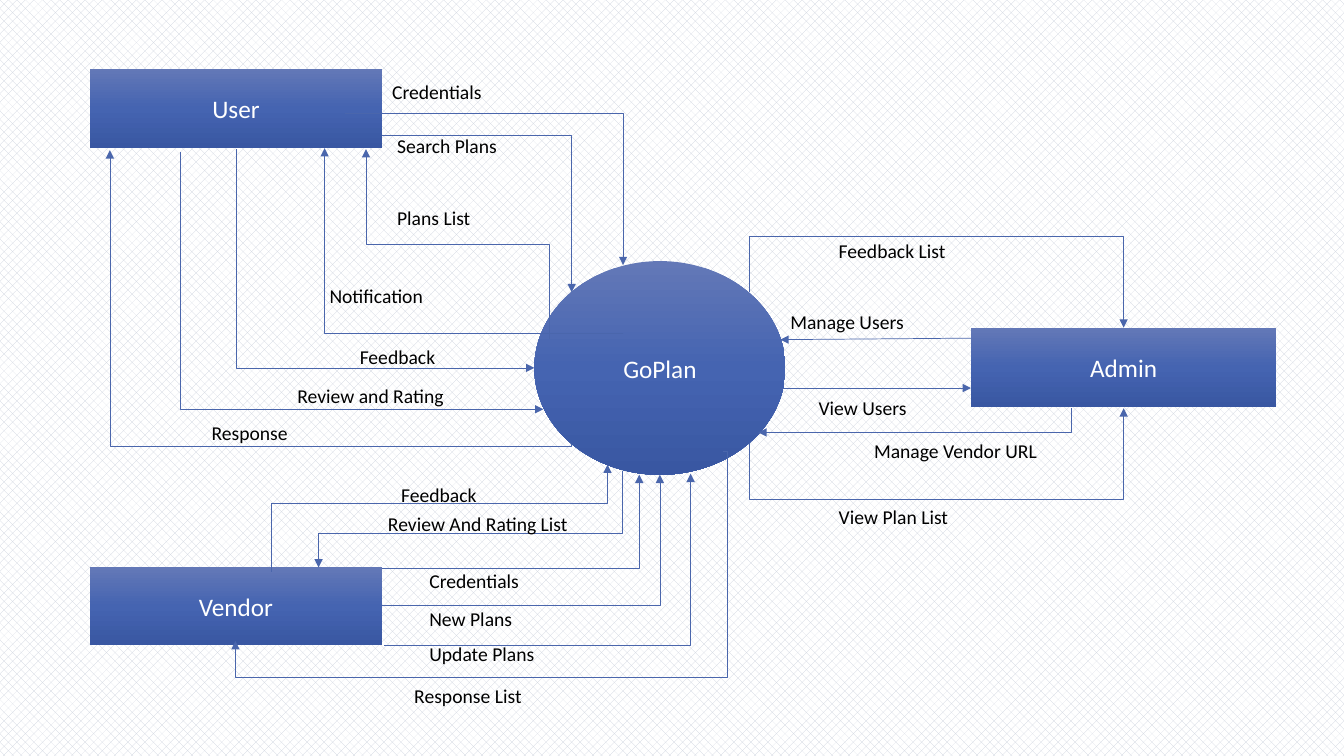
from copy import deepcopy
from dataclasses import dataclass

from pptx import Presentation
from pptx.dml.color import RGBColor
from pptx.enum.dml import MSO_PATTERN
from pptx.enum.shapes import MSO_CONNECTOR, MSO_SHAPE
from pptx.enum.text import MSO_ANCHOR, MSO_AUTO_SIZE, PP_ALIGN
from pptx.oxml.ns import qn
from pptx.slide import Slide
from pptx.text.text import TextFrame
from pptx.util import Inches, Length, Pt
from lxml import etree

RECT = MSO_SHAPE.RECTANGLE
OVAL = MSO_SHAPE.OVAL
ELBOW = MSO_CONNECTOR.ELBOW
STRAIGHT = MSO_CONNECTOR.STRAIGHT
WEAVE = MSO_PATTERN.WEAVE
CENTER = PP_ALIGN.CENTER
MIDDLE = MSO_ANCHOR.MIDDLE
FIT_SHAPE = MSO_AUTO_SIZE.SHAPE_TO_FIT_TEXT

FONT = "Calibri"
FLOW_COLOR = "4A66AC"
NODE_GRADIENT = [(0, "6378B7"), (0.5, "4564B1"), (1, "3957A2")]
CELL = 0.1
LABEL_ROWS = 3.4
DIRECTIONS = {0: (1, 0), 90: (0, 1), 180: (-1, 0), 270: (0, -1)}


@dataclass(frozen=True)
class Node:
    name: str
    col: float
    row: float
    cols: float
    rows: float
    outline: MSO_SHAPE = RECT

    @property
    def right(self) -> float:
        return self.col + self.cols

    @property
    def bottom(self) -> float:
        return self.row + self.rows

    @property
    def middle(self) -> float:
        return self.col + self.cols / 2


@dataclass(frozen=True)
class Flow:
    start: tuple[float, float]
    end: tuple[float, float]
    turn: int = 0
    bends: tuple[float, ...] | None = ()
    arrow: bool = True


@dataclass(frozen=True)
class Label:
    wording: str
    col: float
    row: float
    cols: float
    wrap: bool = True


SYSTEM = Node("GoPlan", 53, 25.9, 24.9, 21.2, OVAL)
USER = Node("User", 8.9, 6.8, 29, 7.9)
ADMIN = Node("Admin", 96.3, 32.5, 30.3, 7.9)
VENDOR = Node("Vendor", 8.9, 56.3, 29, 7.7)
NODES = [SYSTEM, USER, ADMIN, VENDOR]

REVIEW_JOINT = (47.8, 52.9)
FEEDBACK_JOINT = (53, 49.9)

USER_FLOWS = [
    Flow((34.2, 11.2), (61.8, 26.3)),
    Flow((USER.right, 13.4), (56.7, 29)),
    Flow((54.5, 33.6), (36.3, 14.8), 270, (0.5,)),
    Flow((61.8, 33.1), (32.2, USER.bottom), 180),
    Flow((23.4, 14.8), (SYSTEM.col, 36.5), 270),
    Flow((17.9, 15.1), (53.9, 40.6), 0, (0,)),
    Flow((56.7, 44), (10.9, 14.9), 90, (-0.01, 1)),
]
VENDOR_FLOWS = [
    Flow((26.9, 56.7), FEEDBACK_JOINT, 0, (0,), False),
    Flow(FEEDBACK_JOINT, (60.25, 46.1), 0, (1,)),
    Flow((61.75, 46.7), REVIEW_JOINT, 180, (0,), False),
    Flow(REVIEW_JOINT, (31.6, VENDOR.row), 180, (1,)),
    Flow((VENDOR.right, 56.4), (63.4, SYSTEM.bottom), 0, (1,)),
    Flow((VENDOR.right, 60.1), (SYSTEM.middle, SYSTEM.bottom)),
    Flow((38.1, VENDOR.bottom), (68.5, 47), 0, (1,)),
    Flow((71.7, 44.8), (23.35, 63.6), 180, (-0.01, 1.19)),
]
ADMIN_FLOWS = [
    Flow((74.3, 29), (ADMIN.middle, ADMIN.row), 270, (-1.59,)),
    Flow((ADMIN.col, 33.55), (77.4, 33.7), bends=None),
    Flow((77.4, 38.5), (ADMIN.col, 38.5), bends=None),
    Flow((106.25, 40.5), (75.2, 42.9), 0, (0,)),
    Flow((74.3, 44), (ADMIN.middle, 40.5), 90, (-1.59,)),
]

LABELS = [
    Label("Credentials", 37.9, 7.4, 18.7),
    Label("Search Plans", 38.4, 12.8, 14.6),
    Label("Plans List", 38.4, 19.9, 9.4),
    Label("Notification", 31.7, 27.7, 11.6),
    Label("Feedback", 34.7, 33.7, 9.6, False),
    Label("Review and Rating", 28.5, 37.6, 30.5),
    Label("Response", 20, 41.3, 13.4),
    Label("Feedback", 38.8, 47.4, 9.6, False),
    Label("Review And Rating List", 37.5, 50.3, 21.6),
    Label("Credentials", 41.6, 55.9, 20.1),
    Label("New Plans", 41.6, 59.7, 11.4),
    Label("Update Plans", 41.6, 63.2, 14.3),
    Label("Response List", 40.1, 67.4, 16.5),
    Label("Feedback List", 82.2, 23.2, 12.8),
    Label("Manage Users", 77.4, 30.3, 26.1),
    Label("View Users", 80.2, 38.8, 26.1),
    Label("Manage Vendor URL", 85.7, 43.1, 26.1),
    Label("View Plan List", 82.2, 49.6, 25.5),
]


def cells(count: float) -> Length:
    return Inches(count * CELL)


def rgb(code: str) -> RGBColor:
    return RGBColor.from_string(code)


def write(frame: TextFrame, wording: str, size: int, color: str) -> None:
    run = frame.paragraphs[0].add_run()
    run.text = wording
    run.font.name = FONT
    run.font.size = Pt(size)
    run.font.color.rgb = rgb(color)


def draw_node(slide: Slide, node: Node) -> None:
    body = slide.shapes.add_shape(
        node.outline, *map(cells, (node.col, node.row, node.cols, node.rows)))
    body.shadow.inherit = False
    body.line.fill.background()
    body.fill.gradient()
    body.fill.gradient_angle = 270
    stops = next(body._element.spPr.iter(qn("a:gsLst")))
    stops.insert(1, deepcopy(stops[0]))
    for stop, (position, color) in zip(body.fill.gradient_stops, NODE_GRADIENT):
        stop.position = position
        stop.color.rgb = rgb(color)
    body.text_frame.vertical_anchor = MIDDLE
    body.text_frame.paragraphs[0].alignment = CENTER
    write(body.text_frame, node.name, 18, "FFFFFF")


def draw_flow(slide: Slide, flow: Flow) -> None:
    (x1, y1), (x2, y2) = flow.start, flow.end
    cos, sin = DIRECTIONS[flow.turn]
    along = (cos * (x2 - x1) + sin * (y2 - y1)) / 2
    across = (cos * (y2 - y1) - sin * (x2 - x1)) / 2
    mid_x, mid_y = (x1 + x2) / 2, (y1 + y2) / 2
    ends = (mid_x - along, mid_y - across, mid_x + along, mid_y + across)
    route = STRAIGHT if flow.bends is None else ELBOW
    arrow = slide.shapes.add_connector(route, *map(cells, ends))
    arrow.line.color.rgb = rgb(FLOW_COLOR)
    arrow.line.width = Pt(0.5)
    properties = arrow._element.spPr
    if flow.turn:
        properties.find(qn("a:xfrm")).set("rot", str(flow.turn * 60000))
    if flow.bends is not None:
        geometry = properties.find(qn("a:prstGeom"))
        geometry.set("prst", f"bentConnector{len(flow.bends) + 2}")
        guides = geometry.find(qn("a:avLst"))
        for number, share in enumerate(flow.bends, 1):
            etree.SubElement(guides, qn("a:gd"), name=f"adj{number}",
                             fmla=f"val {round(share * 100000)}")
    if flow.arrow:
        etree.SubElement(properties.find(qn("a:ln")), qn("a:tailEnd"), type="triangle")
    etree.SubElement(properties, qn("a:effectLst"))


def draw_label(slide: Slide, label: Label) -> None:
    box = slide.shapes.add_textbox(
        *map(cells, (label.col, label.row, label.cols, LABEL_ROWS)))
    box.text_frame.word_wrap = label.wrap
    box.text_frame.auto_size = FIT_SHAPE
    write(box.text_frame, label.wording, 14, "000000")


def main() -> None:
    deck = Presentation()
    deck.slide_width, deck.slide_height = Inches(13.33), Inches(7.5)
    slide = deck.slides.add_slide(deck.slide_layouts[6])
    backdrop = slide.background.fill
    backdrop.patterned()
    backdrop.pattern = WEAVE
    backdrop.fore_color.rgb = rgb("CCD2DD")
    backdrop.back_color.rgb = rgb("FFFFFF")
    for node in NODES:
        draw_node(slide, node)
    for flow in USER_FLOWS + VENDOR_FLOWS + ADMIN_FLOWS:
        draw_flow(slide, flow)
    for label in LABELS:
        draw_label(slide, label)
    deck.save("out.pptx")


if __name__ == "__main__":
    main()
